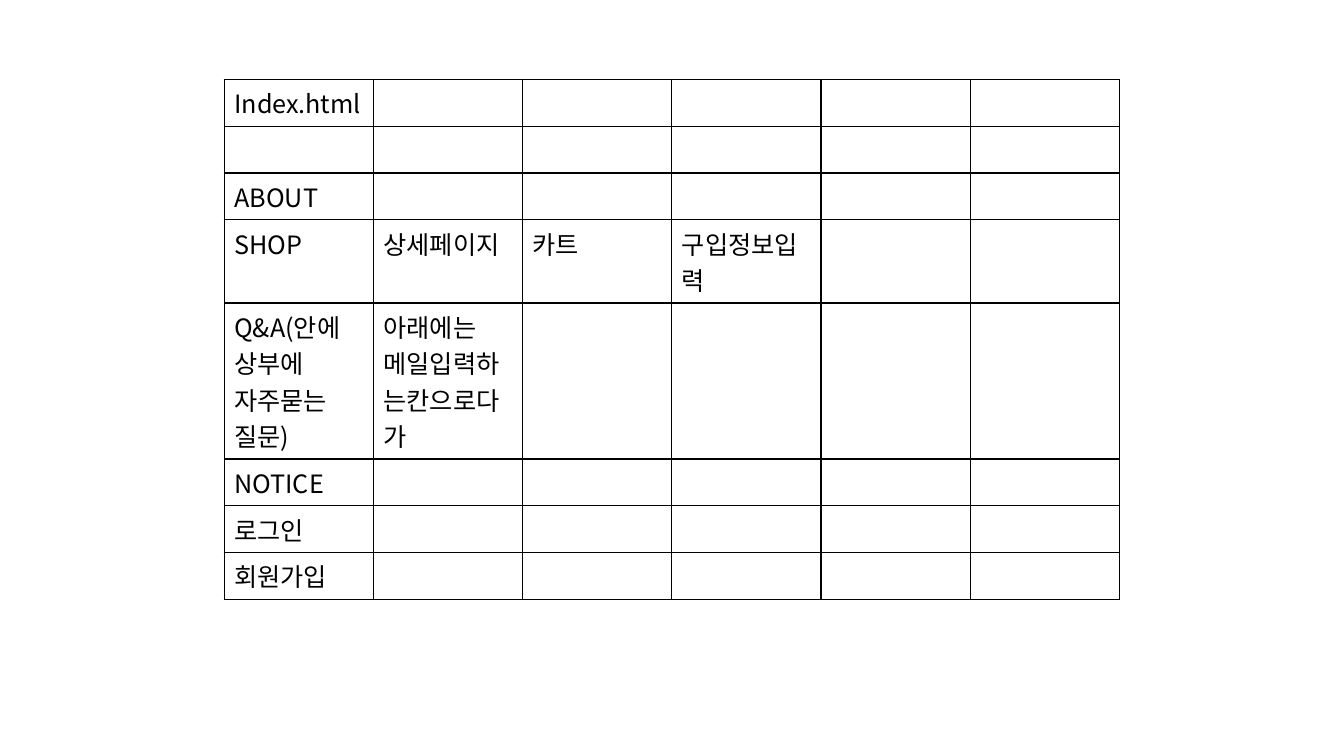
from lxml import etree
from pptx import Presentation
from pptx.dml.color import RGBColor
from pptx.oxml.ns import qn
from pptx.util import Cm, Pt

FONT = "Noto Sans CJK KR"
BLACK, WHITE = "000000", "FFFFFF"
COLUMNS = 6
COLUMN_WIDTH = 3.76
LEFT, TOP = 5.65, 2.0

# Row height in cm, then the filled cells from the left
SITEMAP = [
    (1.18, ["Index.html"]),
    (1.18, []),
    (1.18, ["ABOUT"]),
    (2.09, ["SHOP", "상세페이지", "카트", "구입정보입력"]),
    (3.93, ["Q&A(안에 상부에 자주묻는 질문)", "아래에는 메일입력하는칸으로다가"]),
    (1.18, ["NOTICE"]),
    (1.18, ["로그인"]),
    (1.18, ["회원가입"]),
]


def color(value):
    """Turn a hex string into a colour."""
    return RGBColor.from_string(value)


def add_borders(cell, value, width):
    """Draw a solid line on all four sides of a cell."""
    tc_pr = cell._tc.get_or_add_tcPr()
    for i, side in enumerate(("a:lnL", "a:lnR", "a:lnT", "a:lnB")):
        line = etree.Element(qn(side), w=str(Pt(width)))
        fill = etree.SubElement(line, qn("a:solidFill"))
        etree.SubElement(fill, qn("a:srgbClr"), val=value)
        tc_pr.insert(i, line)


def write(cell, text):
    """Put text in a cell, with one font for Latin and Korean."""
    cell.text_frame.text = text
    for r in cell.text_frame.paragraphs[0].runs:
        r.font.size = Pt(18)
        r.font.bold = False
        r.font.name = FONT
        r.font.color.rgb = color(BLACK)
        etree.SubElement(r.font._element, qn("a:ea"), typeface=FONT)


def add_sitemap(s):
    """Add the table of site pages."""
    height = sum(h for h, _ in SITEMAP)
    table = s.shapes.add_table(len(SITEMAP), COLUMNS, Cm(LEFT), Cm(TOP),
                               Cm(COLUMN_WIDTH * COLUMNS), Cm(height)).table
    table.first_row = table.horz_banding = False
    for column in table.columns:
        column.width = Cm(COLUMN_WIDTH)
    for row, (row_height, texts) in zip(table.rows, SITEMAP):
        row.height = Cm(row_height)
        for cell in row.cells:
            cell.fill.solid()
            cell.fill.fore_color.rgb = color(WHITE)
            add_borders(cell, BLACK, 1)
        for cell, text in zip(row.cells, texts):
            write(cell, text)


prs = Presentation()
prs.slide_width, prs.slide_height = Cm(33.87), Cm(19.05)
add_sitemap(prs.slides.add_slide(prs.slide_layouts[6]))
prs.save("out.pptx")
